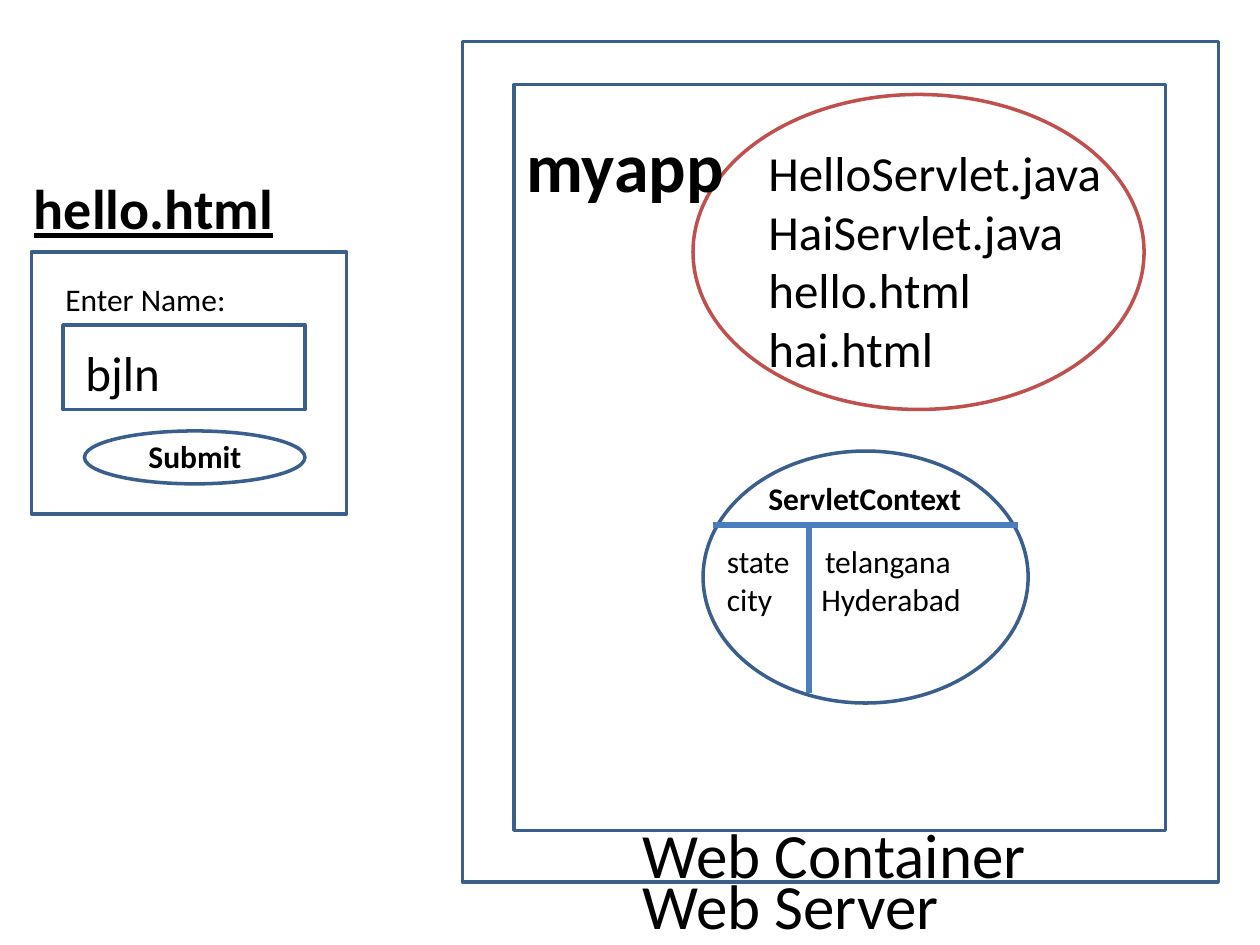
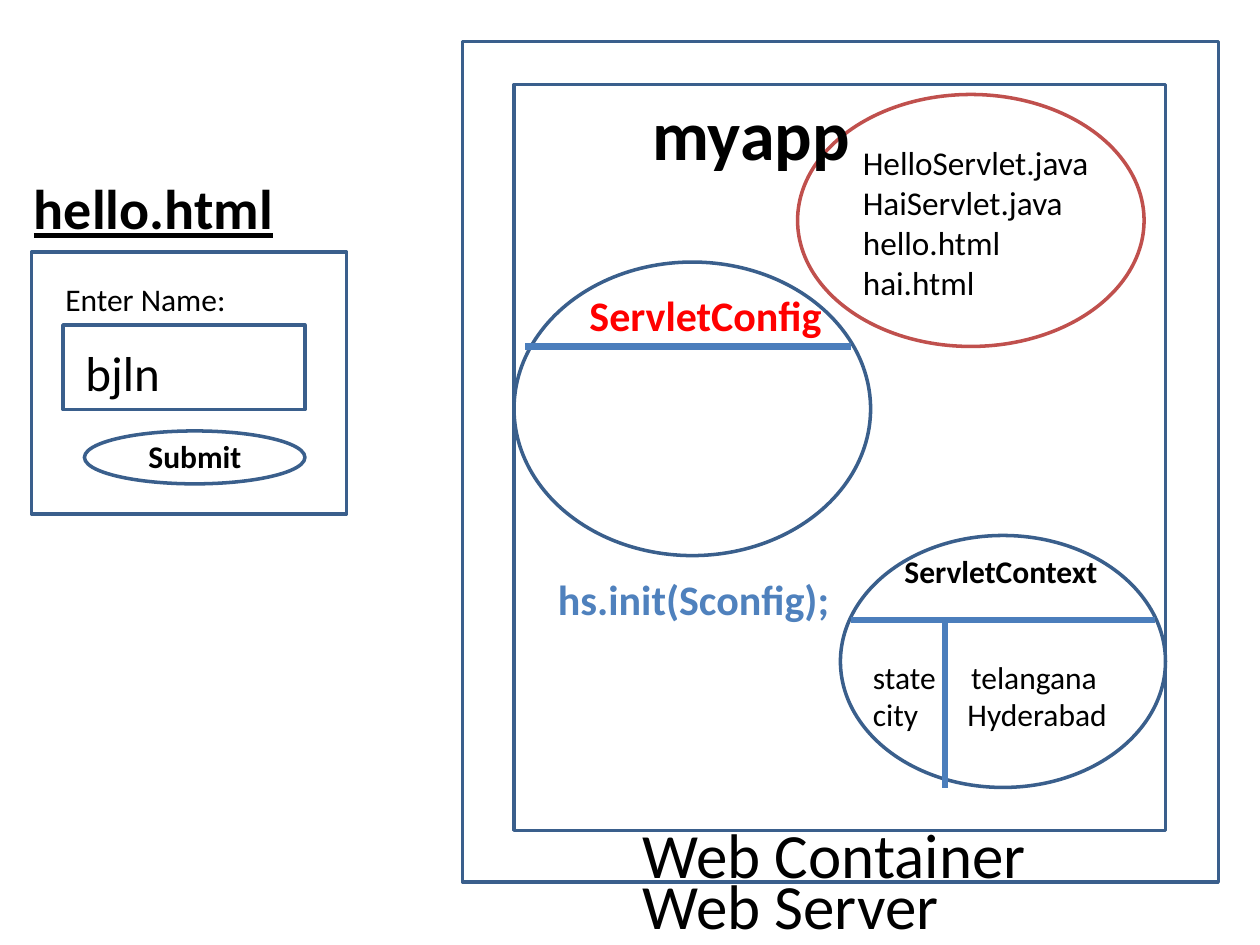
from lxml import etree
from pptx import Presentation, util as u
from pptx.dml.color import RGBColor
from pptx.enum import shapes, text
from pptx.oxml.ns import qn

COLORS = {
    "outline": "3A5F8C",
    "files": "C0504D",
    "rule": "4B7EBC",
    "call": "4F81BD",
    "text": "000000",
    "config": "FF0000",
}
FONT = "Calibri"
RECT = shapes.MSO_SHAPE.RECTANGLE
OVAL = shapes.MSO_SHAPE.OVAL
FILES = ["HelloServlet.java", "HaiServlet.java", "hello.html", "hai.html"]
# name, value, distance from the text start to the value
ATTRIBUTES = [("state", "telangana", 0.78), ("city", "Hyderabad", 0.75)]


def rgb(name):
    return RGBColor.from_string(COLORS[name])


class Deck:
    def __init__(self):
        self.prs = Presentation()
        self.prs.slide_width = u.Inches(10)
        self.prs.slide_height = u.Inches(7.5)
        self.s = None

    def new_slide(self):
        self.s = self.prs.slides.add_slide(self.prs.slide_layouts[6])

    def outline(self, kind, x, y, w, h, color="outline"):
        sp = self.s.shapes.add_shape(kind, *map(u.Inches, (x, y, w, h)))
        sp.shadow.inherit = False
        sp.fill.background()
        sp.line.color.rgb = rgb(color)
        sp.line.width = u.Pt(2)

    def rule(self, x1, y1, x2, y2):
        line = self.s.shapes.add_connector(
            shapes.MSO_CONNECTOR.STRAIGHT, *map(u.Inches, (x1, y1, x2, y2)))
        line.line.color.rgb = rgb("rule")
        line.line.width = u.Pt(3.5)
        etree.SubElement(line._element.spPr, qn("a:effectLst"))

    def label(self, lines, x, y, w, h, size, color="text", bold=False, underline=False):
        """Add a text box with one paragraph per line; return its text frame."""
        tf = self.s.shapes.add_textbox(*map(u.Inches, (x, y, w, h))).text_frame
        tf.word_wrap = True
        tf.auto_size = text.MSO_AUTO_SIZE.SHAPE_TO_FIT_TEXT
        for i, line in enumerate(lines):
            p = tf.paragraphs[0] if i == 0 else tf.add_paragraph()
            r = p.add_run()
            r.text = line
            r.font.name = FONT
            r.font.size = u.Pt(size)
            r.font.bold = bold
            r.font.underline = underline
            r.font.color.rgb = rgb(color)
        return tf

    def attributes(self, x, y):
        """Add the name and value pairs, each value set by a tab stop."""
        lines = [f"{name}\t{value}" for name, value, _ in ATTRIBUTES]
        tf = self.label(lines, x, y, 2.83, 0.71, 18)
        for p, (_, _, stop) in zip(tf.paragraphs, ATTRIBUTES):
            tabs = etree.SubElement(p._p.get_or_add_pPr(), qn("a:tabLst"))
            etree.SubElement(tabs, qn("a:tab"), pos=str(u.Inches(stop)), algn="l")

    def server(self):
        self.outline(RECT, 3.67, 0.33, 6, 6.67)
        self.outline(RECT, 4.08, 0.67, 5.17, 5.92)
        self.label(["Web Server"], 5, 6.83, 3.08, 0.71, 36)
        self.label(["Web Container"], 5, 6.42, 3.75, 0.71, 36)

    def form(self):
        self.label(["hello.html"], 0.17, 1.33, 2.58, 0.64, 32, bold=True, underline=True)
        self.outline(RECT, 0.25, 2, 2.5, 2.08)
        self.label(["Enter Name:"], 0.42, 2.17, 2.17, 0.4, 18)
        self.outline(RECT, 0.5, 2.58, 1.92, 0.67)
        self.label(["bjln"], 0.58, 2.67, 1.92, 0.57, 28)
        self.outline(OVAL, 0.67, 3.42, 1.75, 0.42)
        self.label(["Submit"], 1.08, 3.42, 1.42, 0.4, 18, bold=True)

    def app(self, name_at, files_at, files_size, oval):
        self.label(FILES, *files_at, *files_size)
        self.outline(OVAL, *oval, color="files")
        self.label(["myapp"], *name_at, 2.33, 0.77, 40, bold=True)

    def context(self, x, y, title_at, rule_y, divider_x, attributes_at):
        self.outline(OVAL, x, y, 2.58, 2)
        self.label(["ServletContext"], *title_at, 2.33, 0.4, 18, bold=True)
        self.rule(x + 0.08, rule_y, x + 2.5, rule_y)
        self.rule(divider_x, rule_y, divider_x, rule_y + 1.33)
        self.attributes(*attributes_at)

    def config(self):
        self.outline(OVAL, 4.08, 2.08, 2.83, 2.33)
        self.label(["ServletConfig"], 4.58, 2.25, 2.33, 0.5, 24, "config", bold=True)
        self.rule(4.17, 2.75, 6.75, 2.75)
        self.label(["hs.init(Sconfig);"], 4.33, 4.5, 2.58, 0.5, 24, "call", bold=True)


def main():
    deck = Deck()

    deck.new_slide()
    deck.server()
    deck.app((4.08, 0.92), (6, 1.08), (3.17, 1.99, 28), (5.5, 0.75, 3.58, 2.5))
    deck.context(5.58, 3.58, (6, 3.75), 4.17, 6.42, (5.67, 4.25))
    deck.form()

    deck.new_slide()
    deck.server()
    deck.app((5.08, 0.67), (6.75, 1.08), (3.17, 1.38, 19), (6.33, 0.75, 2.75, 2))
    deck.context(6.67, 4.25, (7.08, 4.33), 4.92, 7.5, (6.83, 5.17))
    deck.form()
    deck.config()

    deck.prs.save("out.pptx")


if __name__ == "__main__":
    main()
